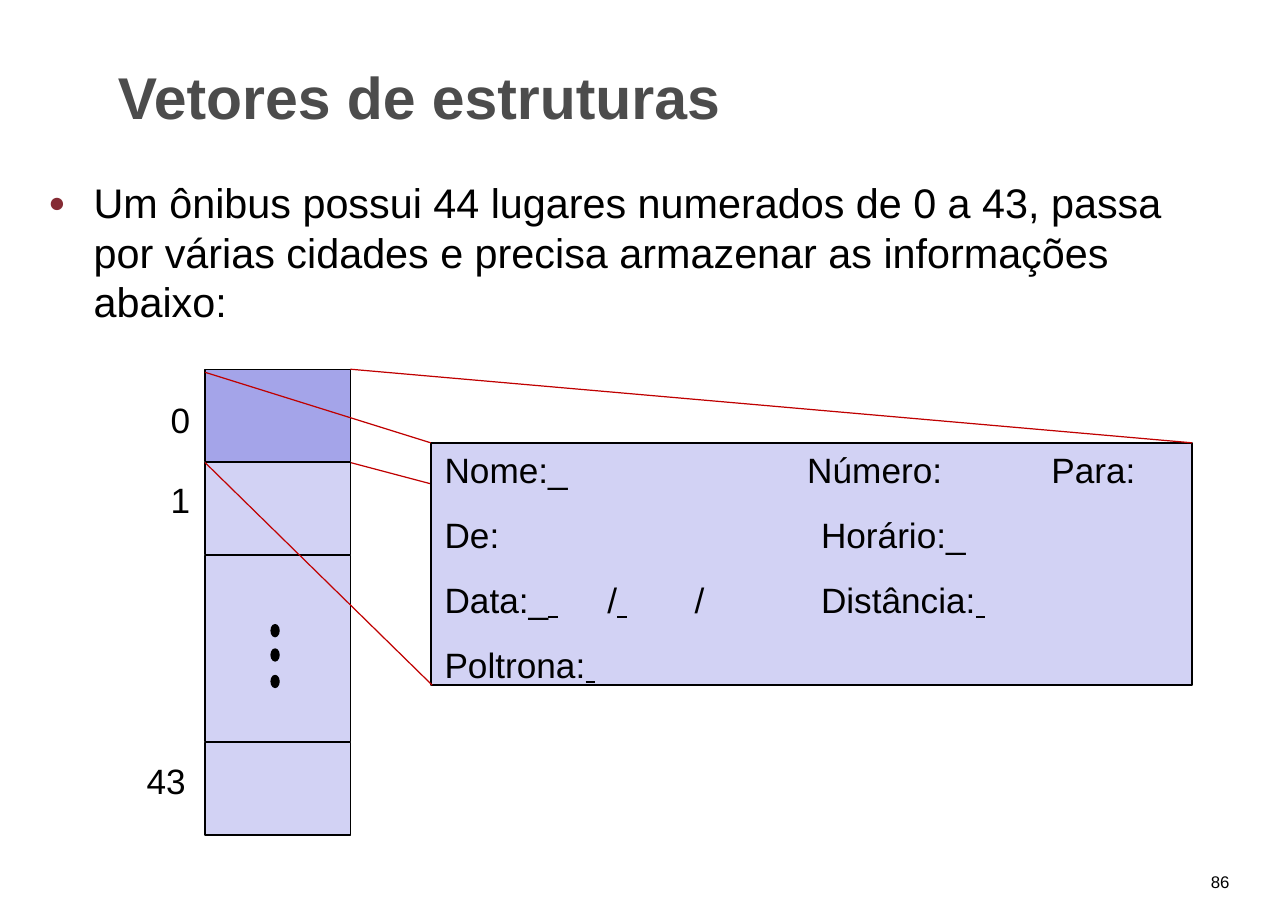
from dataclasses import dataclass

from lxml import etree
from pptx import Presentation
from pptx.dml.color import RGBColor
from pptx.enum import shapes, text
from pptx.oxml import ns
from pptx.util import Pt


@dataclass(frozen=True)
class Theme:
    font: str = "Arial"
    ink: str = "000000"
    title_ink: str = "4C4C4C"
    bullet: str = "852B34"
    guide: str = "C00000"
    pale: str = "D2D2F4"
    strong: str = "A4A4E9"
    title: float = 38.5
    body: float = 27
    label: float = 23
    small: float = 11
    thin: float = 0.8
    thick: float = 1.6
    leading: float = 1.2
    form_leading: float = 42.5


T = Theme()


def rgb(value):
    return RGBColor.from_string(value)


def add_element(parent, tag, **attrs):
    return etree.SubElement(parent, ns.qn(tag), attrs)


def add_box(s, x, y, w, h):
    tf = s.shapes.add_textbox(Pt(x), Pt(y), Pt(w), Pt(h)).text_frame
    tf.margin_left = tf.margin_top = tf.margin_right = tf.margin_bottom = 0
    tf.word_wrap = True
    return tf


def add_run(p, words, size, color=T.ink, bold=False, underline=False):
    r = p.add_run()
    r.text = words
    r.font.name = T.font
    r.font.size = Pt(size)
    r.font.color.rgb = rgb(color)
    r.font.bold = bold
    r.font.underline = underline


def add_line_of_text(s, x, y, w, words, size, color=T.ink, bold=False):
    tf = add_box(s, x, y, w, size * T.leading)
    p = tf.paragraphs[0]
    p.line_spacing = Pt(size * T.leading)
    add_run(p, words, size, color, bold)
    return p


def set_bullet(p, hang):
    pPr = p._p.get_or_add_pPr()
    pPr.set("marL", str(Pt(hang)))
    pPr.set("indent", str(-Pt(hang)))
    add_element(add_element(pPr, "a:buClr"), "a:srgbClr", val=T.bullet)
    add_element(pPr, "a:buSzPct", val="69000")
    add_element(pPr, "a:buFont", typeface=T.font)
    add_element(pPr, "a:buChar", char="●")


def add_form_column(s, x, w, rows):
    """Each row is (left margin, tab stops, runs); a run is (words, underline)."""
    tf = add_box(s, x, 278, w, len(rows) * T.form_leading)
    for i, (margin, stops, runs) in enumerate(rows):
        p = tf.add_paragraph() if i else tf.paragraphs[0]
        pPr = p._p.get_or_add_pPr()
        pPr.set("marL", str(Pt(margin)))
        if stops:
            tabs = add_element(pPr, "a:tabLst")
            for stop in stops:
                add_element(tabs, "a:tab", pos=str(Pt(stop)), algn="l")
        p.line_spacing = Pt(T.form_leading)
        for words, underline in runs:
            add_run(p, words, T.label, underline=underline)


def add_shape(s, kind, x, y, w, h, fill, weight=T.thin):
    sp = s.shapes.add_shape(kind, Pt(x), Pt(y), Pt(w), Pt(h))
    sp.shadow.inherit = False
    sp.fill.solid()
    sp.fill.fore_color.rgb = rgb(fill)
    sp.line.color.rgb = rgb(T.ink)
    sp.line.width = Pt(weight)


def add_guide(s, x1, y1, x2, y2):
    c = s.shapes.add_connector(
        shapes.MSO_CONNECTOR.STRAIGHT, Pt(x1), Pt(y1), Pt(x2), Pt(y2))
    c.line.color.rgb = rgb(T.guide)
    c.line.width = Pt(T.thin)
    add_element(c._element.spPr, "a:effectLst")


def add_seats(s, x, y, w):
    """Stack the seat cells; the tall third one stands for seats 2 to 42."""
    rect = shapes.MSO_SHAPE.RECTANGLE
    for h, fill in ((60.3, T.strong), (60.3, T.pale), (121.7, T.pale), (60.3, T.pale)):
        add_shape(s, rect, x, y, w, h, fill)
        y += h + 0.6
    for dot_y in (408.2, 424.1, 441.4):
        add_shape(s, shapes.MSO_SHAPE.OVAL, 177.1, dot_y, 5.3, 7.9, T.ink)
    for label, label_x, label_y in (("0", 111.6, 260), ("1", 111.6, 312.5), ("43", 95.8, 496)):
        add_line_of_text(s, label_x, label_y, 30, label, T.label)


def main():
    prs = Presentation()
    prs.slide_width, prs.slide_height = Pt(841.68), Pt(594.72)
    s = prs.slides.add_slide(prs.slide_layouts[6])

    add_line_of_text(s, 77, 39.6, 700, "Vetores de estruturas",
                     T.title, T.title_ink, bold=True)
    p = add_line_of_text(
        s, 31.7, 116, 757.5,
        "Um ônibus possui 44 lugares numerados de 0 a 43, passa por várias "
        "cidades e precisa armazenar as informações abaixo:", T.body)
    set_bullet(p, 29.5)

    seat_x, seat_y, seat_w = 134, 241.3, 95
    seat_right, seat_bottom = seat_x + seat_w, seat_y + 61
    rec_x, rec_y, rec_w, rec_h = 281.5, 289.4, 497.5, 158.4
    rec_right, rec_bottom = rec_x + rec_w, rec_y + rec_h

    add_guide(s, seat_right, seat_bottom, rec_right, rec_bottom)
    add_shape(s, shapes.MSO_SHAPE.RECTANGLE, rec_x, rec_y, rec_w, rec_h, T.pale, T.thick)
    add_form_column(s, 290.5, 234, [
        (0, (), [("Nome:_", False)]),
        (0, (), [("De:", False)]),
        (0, (106.5, 163.5), [("Data:_", False), (" \t", True), ("/", False),
                             (" \t", True), ("/", False)]),
        (0, (), [("Poltrona:", False), (" ", True)]),
    ])
    add_form_column(s, 527.5, 250, [
        (0, (159.5,), [("Número:", False), ("\t", True), ("Para:", False)]),
        (9, (), [("Horário:_", False)]),
        (9, (), [("Distância:", False), (" ", True)]),
    ])

    add_seats(s, seat_x, seat_y, seat_w)
    add_guide(s, seat_x, seat_y + 2, rec_x, rec_y)
    add_guide(s, seat_right, seat_y, rec_right, rec_y)
    add_guide(s, seat_x, seat_bottom, rec_x + 1, rec_bottom)

    add_line_of_text(s, 791.3, 570, 20, "86", T.small)
    prs.save("out.pptx")


if __name__ == "__main__":
    main()
